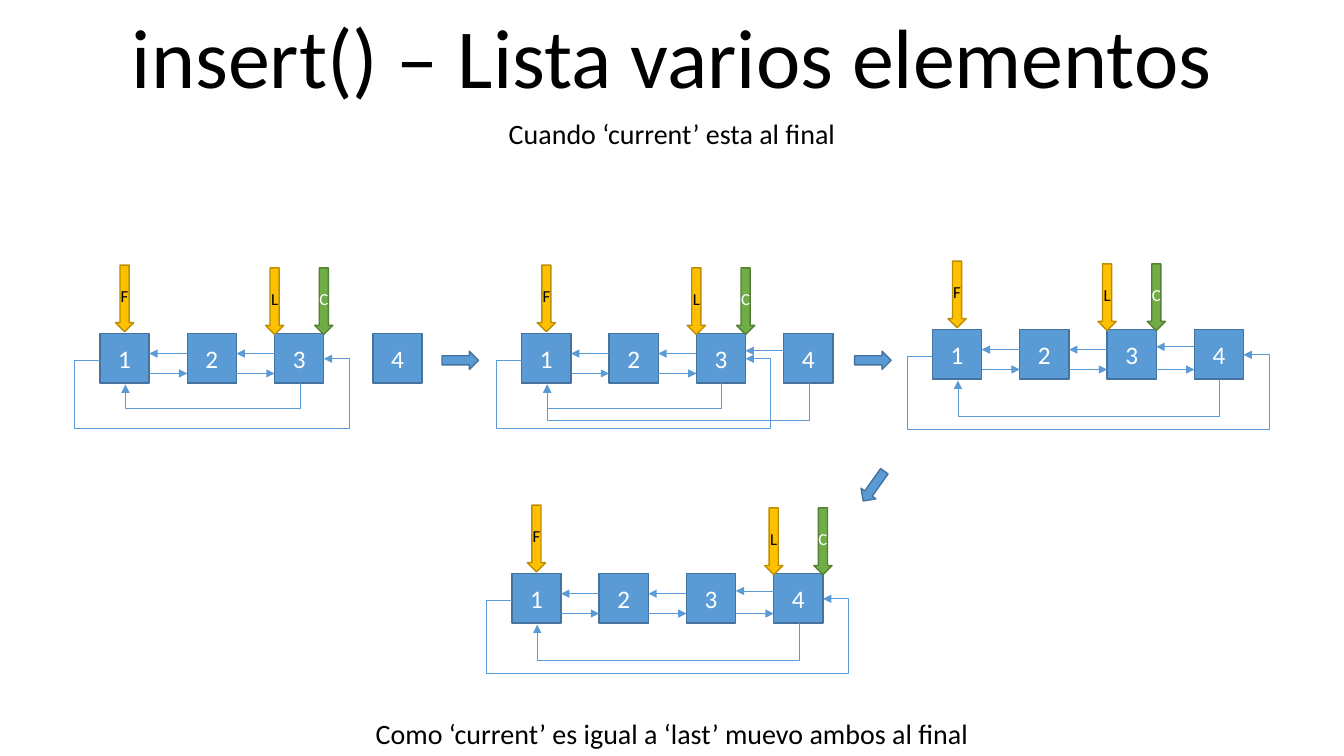
from lxml.etree import SubElement
from pptx import Presentation
from pptx.dml.color import RGBColor
from pptx.enum.shapes import MSO_CONNECTOR, MSO_SHAPE
from pptx.enum.text import MSO_ANCHOR, MSO_AUTO_SIZE, PP_ALIGN
from pptx.oxml.ns import qn
from pptx.util import Cm, Pt

BLUE, BLUE_EDGE = "5B9BD5", "43739E"
GOLD, GOLD_EDGE = "FFC000", "BD8E00"
GREEN, GREEN_EDGE = "70AD47", "538035"
WHITE, BLACK = "FFFFFF", "000000"
SLIDE_W, SLIDE_H = 33.87, 19.05
NODE, PITCH = 1.24, 2.2        # node side and distance between nodes
POINTER_W, POINTER_H = 0.46, 1.68
STEP = 0.04                    # offset between the two ends of a loop
SIDE = 0.64                    # how far the outer loop sticks out


def rgb(value):
    return RGBColor.from_string(value)


def add_run(tf, text, size, color):
    p = tf.paragraphs[0]
    p.alignment = PP_ALIGN.CENTER
    r = p.add_run()
    r.text = text
    r.font.name = "Calibri"
    r.font.size = Pt(size)
    r.font.color.rgb = rgb(color)


def add_text(s, top, height, text, size):
    tb = s.shapes.add_textbox(0, Cm(top), Cm(SLIDE_W), Cm(height))
    tf = tb.text_frame
    tf.word_wrap = True
    tf.auto_size = MSO_AUTO_SIZE.SHAPE_TO_FIT_TEXT
    add_run(tf, text, size, BLACK)


def add_block(shapes, kind, x, y, w, h, fill, edge):
    sp = shapes.add_shape(kind, Cm(x), Cm(y), Cm(w), Cm(h))
    sp.shadow.inherit = False
    sp.fill.solid()
    sp.fill.fore_color.rgb = rgb(fill)
    sp.line.color.rgb = rgb(edge)
    sp.line.width = Pt(1)
    return sp


def add_label(sp, text, size, color):
    tf = sp.text_frame
    tf.margin_left = tf.margin_right = tf.margin_top = tf.margin_bottom = 0
    tf.word_wrap = False
    tf.vertical_anchor = MSO_ANCHOR.MIDDLE
    add_run(tf, text, size, color)


def add_link(shapes, x1, y1, x2, y2, kind=MSO_CONNECTOR.STRAIGHT):
    c = shapes.add_connector(kind, Cm(x1), Cm(y1), Cm(x2), Cm(y2))
    c.line.color.rgb = rgb(BLUE)
    c.line.width = Pt(0.5)
    SubElement(c.line._get_or_add_ln(), qn("a:tailEnd"), type="triangle")
    SubElement(c._element.spPr, qn("a:effectLst"))
    return c


def add_bent(shapes, x, y, w, h, preset, turn, adjusts):
    c = add_link(shapes, x, y, x + w, y + h, MSO_CONNECTOR.ELBOW)
    spPr = c._element.spPr
    for name, value in turn.items():
        spPr.find(qn("a:xfrm")).set(name, value)
    geom = spPr.find(qn("a:prstGeom"))
    geom.set("prst", preset)
    guides = geom.find(qn("a:avLst"))
    for i, value in enumerate(adjusts, 1):
        SubElement(guides, qn("a:gd"), name=f"adj{i}",
                   fmla=f"val {round(value * 100000)}")


def add_inner_loop(shapes, x1, x2, y, depth):
    """Next link from the node centred on x2 back to the one on x1."""
    span = x2 - x1
    add_bent(shapes, (x1 + x2 - STEP) / 2, y + (STEP - span) / 2, STEP, span,
             "bentConnector3", {"rot": "5400000"}, [depth / STEP])


def add_outer_loop(shapes, x1, x2, y, depth):
    """Previous link from the first node round to the right of the last."""
    reach = SIDE / (x2 - x1)
    add_bent(shapes, x1, y, x2 - x1, STEP, "bentConnector5",
             {"rot": "10800000", "flipH": "1"},
             [-reach, -depth / STEP, 1 + reach])


def add_list(s, x, y, nexts, prevs, last, inner, outer, gap=0):
    """List of four nodes; x, y is the corner of node 1, gap sets node 4 apart."""
    shapes = s.shapes.add_group_shape().shapes
    lefts = [x + i * PITCH for i in range(4)]
    lefts[3] += gap
    end = lefts[last - 1]

    # Nodes
    for number, left in enumerate(lefts, 1):
        node = add_block(shapes, MSO_SHAPE.RECTANGLE, left, y, NODE, NODE,
                         BLUE, BLUE_EDGE)
        add_label(node, str(number), 18, WHITE)

    # First, last and current pointers
    for text, center, lift, fill, edge, color in (
            ("F", x + NODE / 2, 1.73, GOLD, GOLD_EDGE, BLACK),
            ("L", end, 1.66, GOLD, GOLD_EDGE, BLACK),
            ("C", end + NODE, 1.66, GREEN, GREEN_EDGE, WHITE)):
        pointer = add_block(shapes, MSO_SHAPE.DOWN_ARROW,
                            center - POINTER_W / 2, y - lift,
                            POINTER_W, POINTER_H, fill, edge)
        add_label(pointer, text, 12, color)

    # Links between neighbours
    for i in range(nexts):
        add_link(shapes, lefts[i] + NODE, y + 1, lefts[i + 1], y + 1)
    for i in range(prevs):
        row = y + (0.43 if i == 2 else 0.5)
        add_link(shapes, lefts[i + 1], row, lefts[i] + NODE, row)

    # Circular links
    for number, depth in inner:
        add_inner_loop(shapes, x + 0.64, lefts[number - 1] + 0.64,
                       y + NODE, depth)
    number, depth = outer
    add_outer_loop(shapes, x, lefts[number - 1] + NODE, y + 0.63, depth)


def add_step_arrow(s, x, y, angle=0):
    sp = add_block(s.shapes, MSO_SHAPE.RIGHT_ARROW, x, y, 0.92, 0.46,
                   BLUE, BLUE_EDGE)
    sp.rotation = angle


def main():
    prs = Presentation()
    prs.slide_width, prs.slide_height = Cm(SLIDE_W), Cm(SLIDE_H)
    s = prs.slides.add_slide(prs.slide_layouts[6])

    # Headings
    add_text(s, 0, 2.82, "insert() – Lista varios elementos", 60)
    add_text(s, 2.82, 1.11, "Cuando ‘current’ esta al final", 20)

    # Stages of the insertion
    near, far = (3, 0.64), (4, 0.95)
    add_list(s, 2.52, 8.41, 2, 2, 3, [near], (3, 1.71), gap=0.28)
    add_list(s, 13.15, 8.41, 2, 3, 3, [near, far], (3, 1.71))
    for x, y, last in ((23.5, 8.31, 3), (12.9, 14.46, 4)):
        add_list(s, x, y, 3, 3, last, [far], (4, 1.84))

    # Arrows from stage to stage
    add_step_arrow(s, 11.14, 8.85)
    add_step_arrow(s, 21.54, 8.85)
    add_step_arrow(s, 21.56, 12.02, 125.4)

    # Closing remark
    add_text(s, 17.94, 1.11,
             "Como ‘current’ es igual a ‘last’ muevo ambos al final", 20)
    prs.save("out.pptx")


if __name__ == "__main__":
    main()
